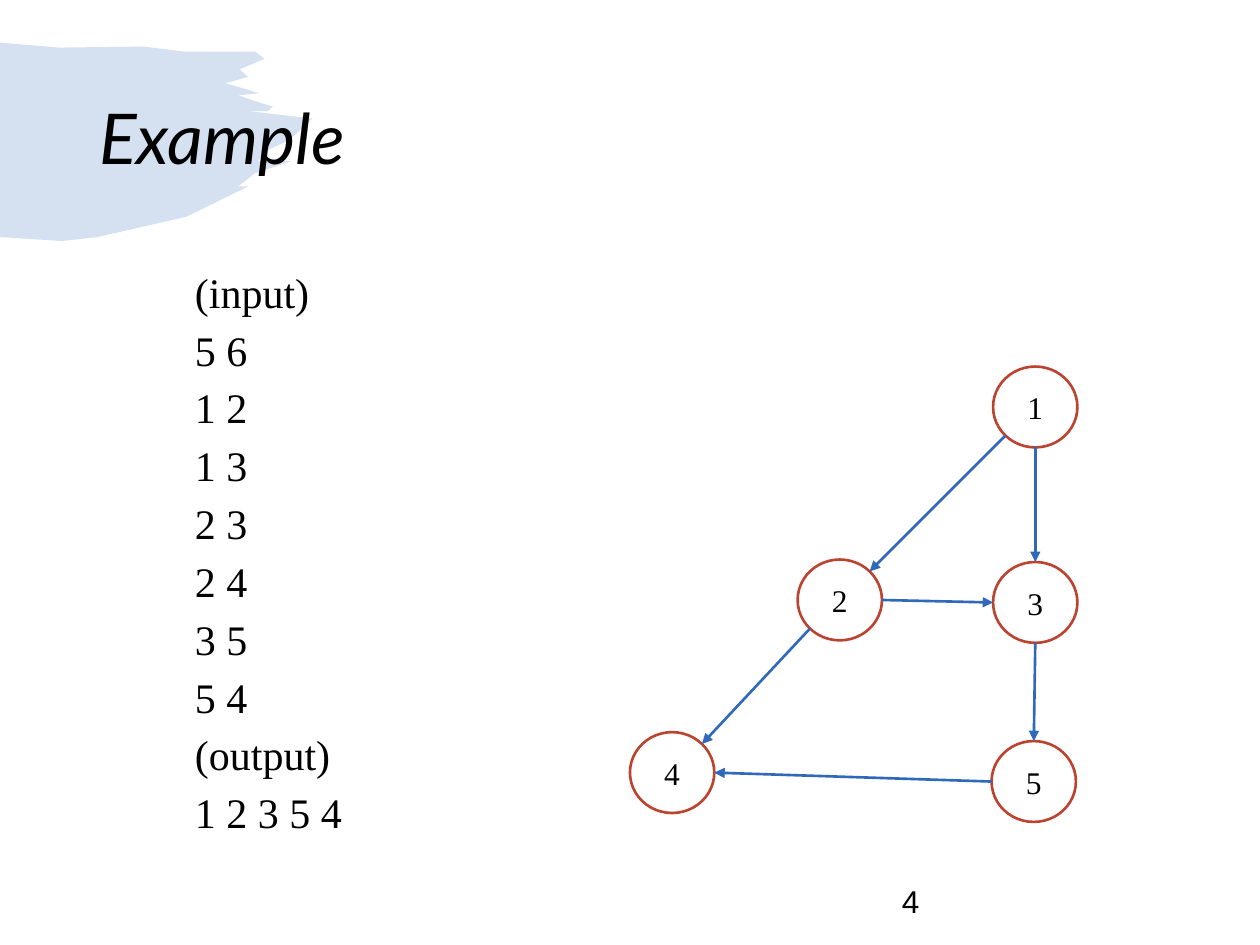
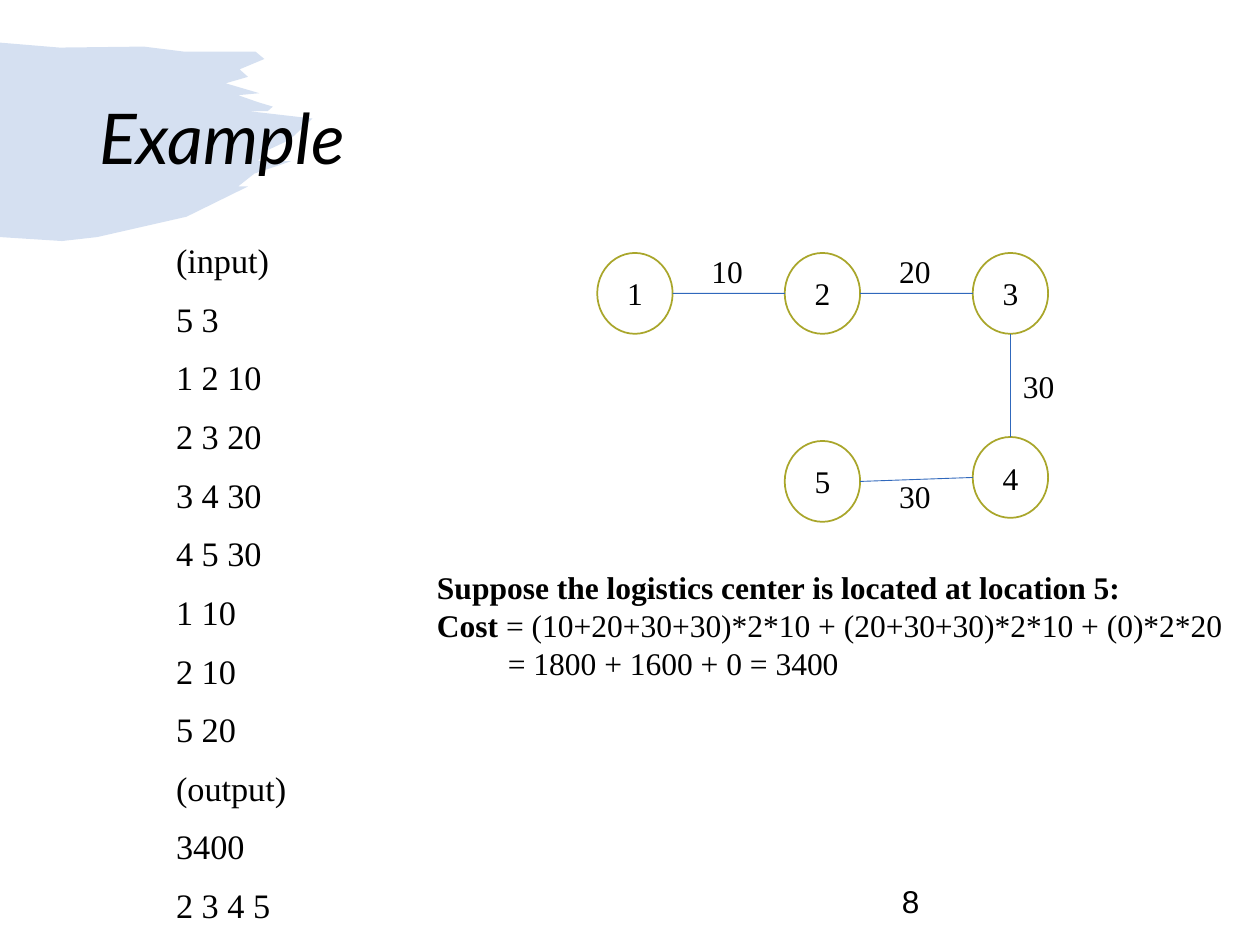
from dataclasses import dataclass
from math import atan2, cos, pi, sin

from lxml.etree import SubElement
from pptx import Presentation
from pptx.dml.color import RGBColor
from pptx.enum.shapes import MSO_CONNECTOR, MSO_SHAPE
from pptx.enum.text import MSO_ANCHOR, PP_ALIGN
from pptx.oxml.ns import qn
from pptx.util import Cm, Pt


@dataclass(frozen=True)
class Theme:
    ink: str = "000000"
    paper: str = "FFFFFF"
    blue: str = "3068BC"
    red: str = "BC4330"
    olive: str = "A9A62B"
    title_font: str = "Lato"
    body_font: str = "Times New Roman"
    number_font: str = "Arial"
    title_size: float = 40
    text_size: float = 18


T = Theme()
LEFT, MIDDLE, RIGHT = 12.04, 15.82, 19.61
TOP = 5.1

# Content: boxes are (left, top, width, height) in cm; an edge names its two nodes
SLIDES = [
    {
        "number": "4",
        "sample": ["(input)", "5 6", "1 2", "1 3", "2 3", "2 4", "3 5", "5 4",
                   "(output)", "1 2 3 5 4"],
        "sample_box": (3.68, 5.44, 4.78, 12.19),
        "sample_size": 24,
        "sample_spacing": 0.8,
        "node_size": (1.7, 1.63),
        "node_line": (T.red, 1.5),
        "nodes": {"1": (20.02, 7.39), "2": (16.08, 11.28), "3": (20.02, 11.33),
                  "4": (12.7, 14.76), "5": (19.99, 14.94)},
        "edges": ["12", "23", "54", "13", "35", "24"],
        "edge_width": 1.5,
        "directed": True,
        "weights": {},
        "cost": [],
    },
    {
        "number": "8",
        "sample": ["(input)", "5 3", "1 2 10", "2 3 20", "3 4 30", "4 5 30",
                   "1 10", "2 10", "5 20", "(output)", "3400", "2 3 4 5"],
        "sample_box": (3.3, 4.7, 7.21, 13.82),
        "sample_size": 19.6,
        "sample_spacing": 1.0,
        "node_size": (1.52, 1.63),
        "node_line": (T.olive, 1),
        "nodes": {"1": (LEFT, TOP), "2": (MIDDLE, TOP), "3": (RIGHT, TOP),
                  "4": (RIGHT, 8.81), "5": (MIDDLE, 8.89)},
        "edges": ["12", "23", "34", "54"],
        "edge_width": 0.5,
        "directed": False,
        "weights": {"12": ("10", "above"), "23": ("20", "above"),
                    "34": ("30", "right"), "54": ("30", "below")},
        # (bold part, plain part, indent in cm)
        "cost": [
            ("Suppose the logistics center is located at location 5:", "", 0),
            ("Cost ", "= (10+20+30+30)*2*10 + (20+30+30)*2*10 + (0)*2*20", 0),
            ("", "= 1800 + 1600 + 0 = 3400", 1.43),
        ],
    },
]
COST_BOX = (8.56, 11.33, 16.51, 2.54)
TITLE = "Example"
TITLE_BOX = (1.75, 1.02, 21.92, 3.68)
NUMBER_BOX = (17.93, 17.65, 5.72, 1.02)
WEIGHT_SIZE = (1.52, 1.02)
# Offset of a weight label's corner from the middle of its edge
WEIGHT_OFFSETS = {"above": (-0.6, -0.95), "right": (0, -0.5), "below": (-0.6, -0.17)}

# Brush stroke outline in cm
BRUSH = [
    (0, 0.86), (1.2, 0.96), (2.9, 0.94), (3.7, 1.04), (4.7, 1.04), (5.15, 1.04),
    (5.33, 1.19), (4.83, 1.4), (5, 1.55), (4.55, 1.68), (5.23, 1.88), (4.8, 1.92),
    (5.2, 2.06), (5.5, 2.15), (5.4, 2.24), (5, 2.24), (6.3, 2.39), (5.84, 2.82),
    (5.35, 3.05), (5.2, 3.25), (5.87, 3.25), (5.13, 3.5), (4.8, 3.76), (5, 3.76),
    (3.76, 4.37), (1.96, 4.78), (1.25, 4.86), (0, 4.78),
]


def rgb(color):
    return RGBColor.from_string(color)


def style_run(r, size=T.text_size, font=T.body_font, bold=False, italic=False):
    r.font.size, r.font.name = Pt(size), font
    r.font.bold, r.font.italic = bold, italic
    r.font.color.rgb = rgb(T.ink)


def add_text(s, box, lines, anchor=MSO_ANCHOR.TOP, spacing=1.0, before=0, **style):
    tf = s.shapes.add_textbox(*map(Cm, box)).text_frame
    tf.word_wrap = True
    tf.vertical_anchor = anchor
    tf.text = "\n".join(lines)
    for i, p in enumerate(tf.paragraphs):
        p.line_spacing = spacing
        p.space_before = Pt(before if i else 0)
        for r in p.runs:
            style_run(r, **style)


def paint(sp, color):
    sp.shadow.inherit = False
    sp.fill.solid()
    sp.fill.fore_color.rgb = rgb(color)


def add_brush(s):
    start, *rest = [(Cm(x), Cm(y)) for x, y in BRUSH]
    builder = s.shapes.build_freeform(*start)
    builder.add_line_segments(rest, close=True)
    sp = builder.convert_to_shape()
    paint(sp, T.blue)
    sp.line.fill.background()
    color = sp._element.spPr.find(qn("a:solidFill")).find(qn("a:srgbClr"))
    SubElement(color, qn("a:alpha"), val="20000")


def add_node(s, label, box, line):
    sp = s.shapes.add_shape(MSO_SHAPE.OVAL, *map(Cm, box))
    paint(sp, T.paper)
    sp.line.color.rgb, sp.line.width = rgb(line[0]), Pt(line[1])
    tf = sp.text_frame
    tf.text = label
    tf.vertical_anchor = MSO_ANCHOR.MIDDLE
    p = tf.paragraphs[0]
    p.alignment = PP_ALIGN.CENTER
    style_run(p.runs[0])


def add_edge(s, start, end, width, directed):
    line = s.shapes.add_connector(MSO_CONNECTOR.STRAIGHT, *map(Cm, start + end))
    line.line.color.rgb, line.line.width = rgb(T.blue), Pt(width)
    if directed:
        SubElement(line.line._get_or_add_ln(), qn("a:tailEnd"), type="triangle")
    SubElement(line._element.spPr, qn("a:effectLst"))


def add_graph(s, data):
    w, h = data["node_size"]
    nodes = data["nodes"]

    def site(node, other):
        """Point on the node's rim, of eight, that faces the other node."""
        (x, y), (x2, y2) = nodes[node], nodes[other]
        angle = round(atan2(y2 - y, x2 - x) / (pi / 4)) * pi / 4
        return x + w / 2 * (1 + cos(angle)), y + h / 2 * (1 + sin(angle))

    for label, corner in nodes.items():
        add_node(s, label, corner + (w, h), data["node_line"])
    for a, b in data["edges"]:
        start, end = site(a, b), site(b, a)
        add_edge(s, start, end, data["edge_width"], data["directed"])
        if a + b in data["weights"]:
            weight, side = data["weights"][a + b]
            corner = [(v1 + v2) / 2 + d
                      for v1, v2, d in zip(start, end, WEIGHT_OFFSETS[side])]
            add_text(s, (*corner, *WEIGHT_SIZE), [weight])


def add_cost(s, lines):
    tf = s.shapes.add_textbox(*map(Cm, COST_BOX)).text_frame
    tf.word_wrap = True
    for i, (bold, plain, indent) in enumerate(lines):
        p = tf.add_paragraph() if i else tf.paragraphs[0]
        if indent:
            p._p.get_or_add_pPr().set("marL", str(Cm(indent)))
        for text, is_bold in ((bold, True), (plain, False)):
            if text:
                r = p.add_run()
                r.text = text
                style_run(r, bold=is_bold)


def add_slide(prs, data):
    s = prs.slides.add_slide(prs.slide_layouts[6])
    # Shared frame
    add_brush(s)
    add_text(s, TITLE_BOX, [TITLE], MSO_ANCHOR.MIDDLE, 0.9,
             size=T.title_size, font=T.title_font, italic=True)
    add_text(s, NUMBER_BOX, [data["number"]], font=T.number_font)
    # Sample input and output, graph, cost
    add_text(s, data["sample_box"], data["sample"], spacing=data["sample_spacing"],
             before=10, size=data["sample_size"])
    add_graph(s, data)
    if data["cost"]:
        add_cost(s, data["cost"])


def main():
    prs = Presentation()
    prs.slide_width, prs.slide_height = Cm(25.4), Cm(19.05)
    for data in SLIDES:
        add_slide(prs, data)
    prs.save("out.pptx")


if __name__ == "__main__":
    main()
